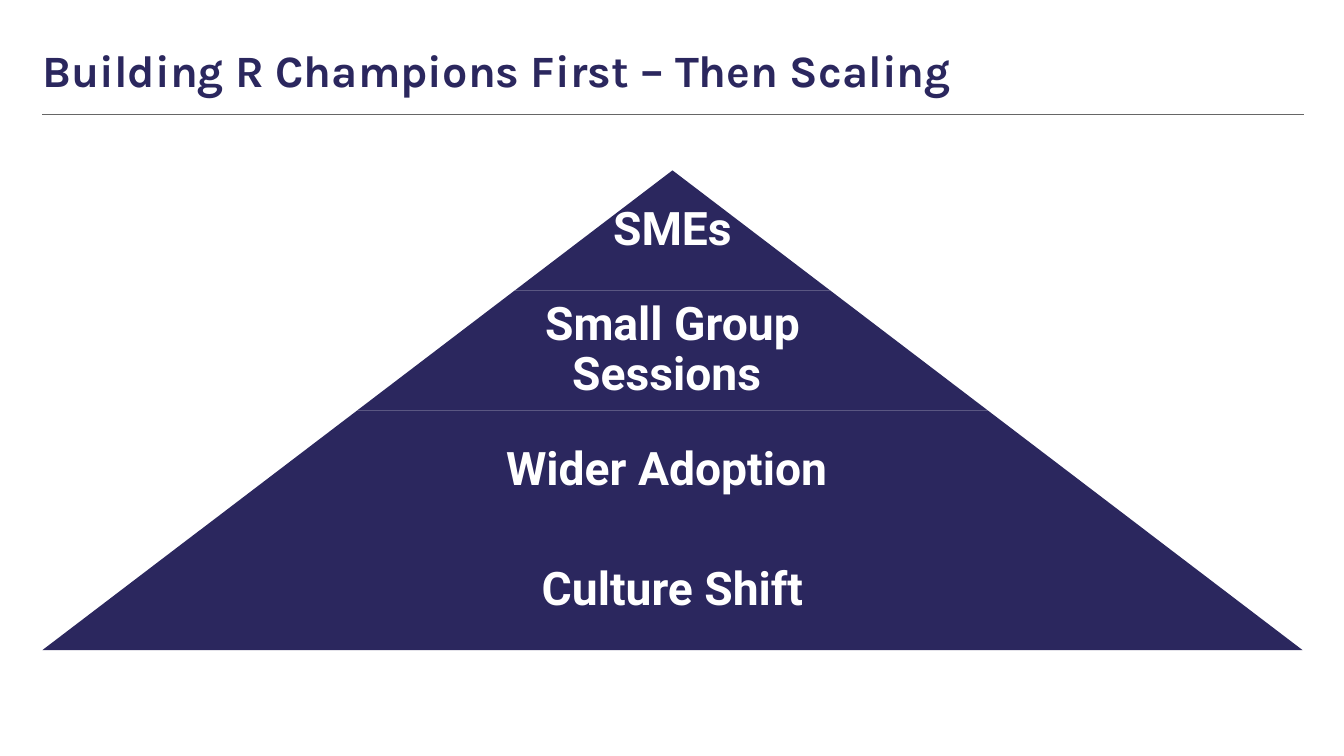
from dataclasses import dataclass

from lxml.etree import SubElement
from pptx import Presentation
from pptx.dml.color import RGBColor
from pptx.enum.shapes import MSO_CONNECTOR, MSO_SHAPE
from pptx.enum.text import MSO_ANCHOR, PP_ALIGN
from pptx.oxml.ns import qn
from pptx.slide import Slide
from pptx.util import Inches, Pt

NAVY = RGBColor(0x2B, 0x27, 0x5E)
WHITE = RGBColor(0xFF, 0xFF, 0xFF)
GRAY = RGBColor(0x66, 0x66, 0x66)

SLIDE_W, SLIDE_H = Inches(13.33), Inches(7.5)
MARGIN = Inches(0.42)
BASE_W = Inches(12.5)
CENTER_X = MARGIN + BASE_W // 2
PYRAMID_TOP, BAND_H = Inches(1.69), Inches(1.19)
INSET = Inches(0.05)


@dataclass(frozen=True)
class Band:
    label: str
    text_share: float = 0.65


BANDS = [
    Band("SMEs", text_share=1),
    Band("Small Group Sessions "),
    Band("Wider Adoption "),
    Band("Culture Shift"),
]

TITLE_FONT = {"name": "Karla", "size": Pt(32), "bold": True}
LABEL_FONT = {"name": "Roboto", "size": Pt(33), "bold": True}


def add_text(s: Slide, text: str, box: tuple[int, int, int, int], font: dict,
             color: RGBColor, inset: int, align: PP_ALIGN, anchor: MSO_ANCHOR) -> None:
    tf = s.shapes.add_textbox(*box).text_frame
    frame = {"word_wrap": True, "vertical_anchor": anchor, "margin_left": inset,
             "margin_right": inset, "margin_top": inset, "margin_bottom": inset}
    for name, value in frame.items():
        setattr(tf, name, value)
    p = tf.paragraphs[0]
    p.alignment, p.line_spacing = align, 0.9
    r = p.add_run()
    r.text = text
    for name, value in font.items():
        setattr(r.font, name, value)
    r.font.color.rgb = color


def add_header(s: Slide, title: str) -> None:
    rule_y = Inches(1.13)
    rule = s.shapes.add_connector(MSO_CONNECTOR.STRAIGHT, MARGIN, rule_y,
                                  Inches(12.93), rule_y)
    rule.line.color.rgb = GRAY
    rule.line.width = Pt(0.5)
    SubElement(rule._element.spPr, qn("a:effectLst"))
    add_text(s, title, (MARGIN, Inches(0.48), BASE_W, Inches(0.48)), TITLE_FONT,
             NAVY, 0, PP_ALIGN.LEFT, MSO_ANCHOR.TOP)


def add_pyramid(s: Slide, bands: list[Band]) -> None:
    """Stack trapezoids that widen by an equal step from the tip to the base."""
    step = BASE_W / len(bands)
    for row, band in enumerate(bands):
        width = int(step * (row + 1))
        top = PYRAMID_TOP + row * BAND_H
        sp = s.shapes.add_shape(MSO_SHAPE.TRAPEZOID, CENTER_X - width // 2, top,
                                width, BAND_H)
        sp.adjustments[0] = step / 2 / BAND_H
        sp.shadow.inherit = False
        sp.fill.solid()
        sp.fill.fore_color.rgb = NAVY
        sp.line.fill.background()
        text_w = int(width * band.text_share)
        add_text(s, band.label, (CENTER_X - text_w // 2, top, text_w, BAND_H),
                 LABEL_FONT, WHITE, INSET, PP_ALIGN.CENTER, MSO_ANCHOR.MIDDLE)


def main() -> None:
    prs = Presentation()
    prs.slide_width, prs.slide_height = SLIDE_W, SLIDE_H
    s = prs.slides.add_slide(prs.slide_layouts[6])
    add_header(s, "Building R Champions First – Then Scaling")
    add_pyramid(s, BANDS)
    prs.save("out.pptx")


if __name__ == "__main__":
    main()
